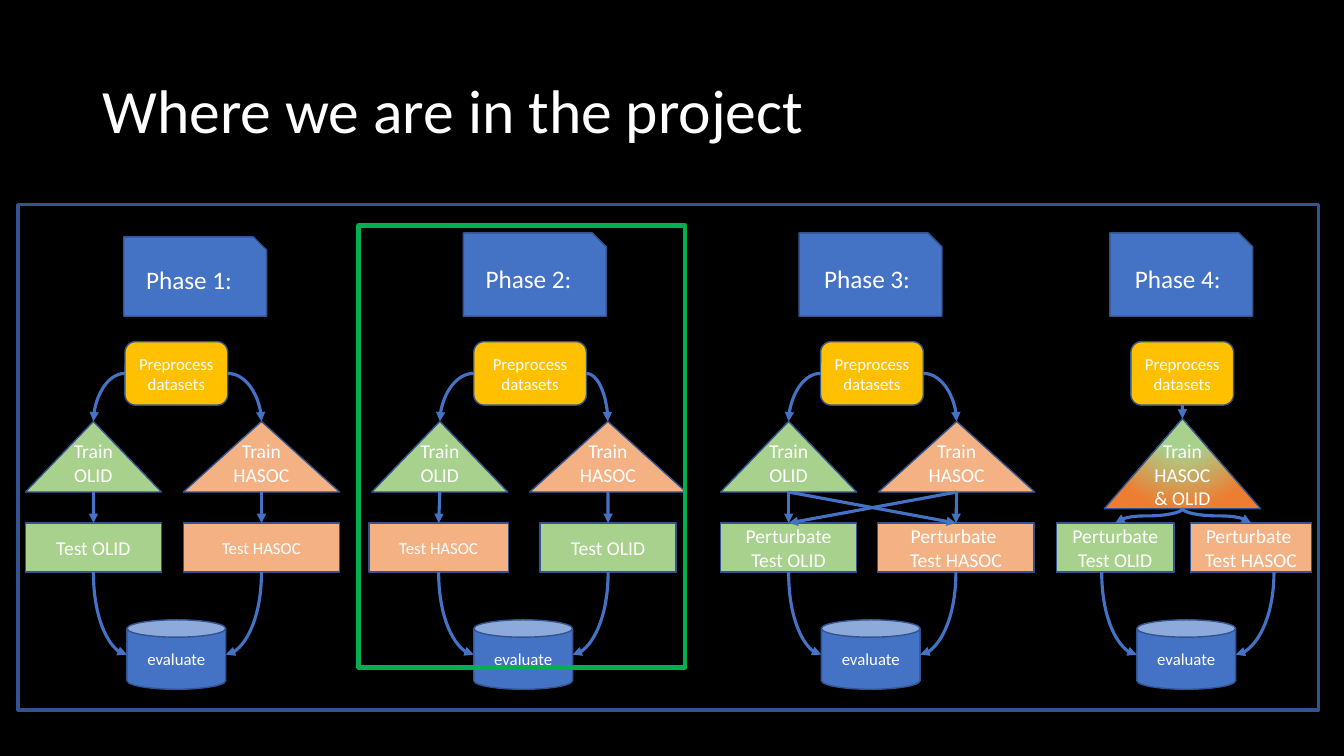
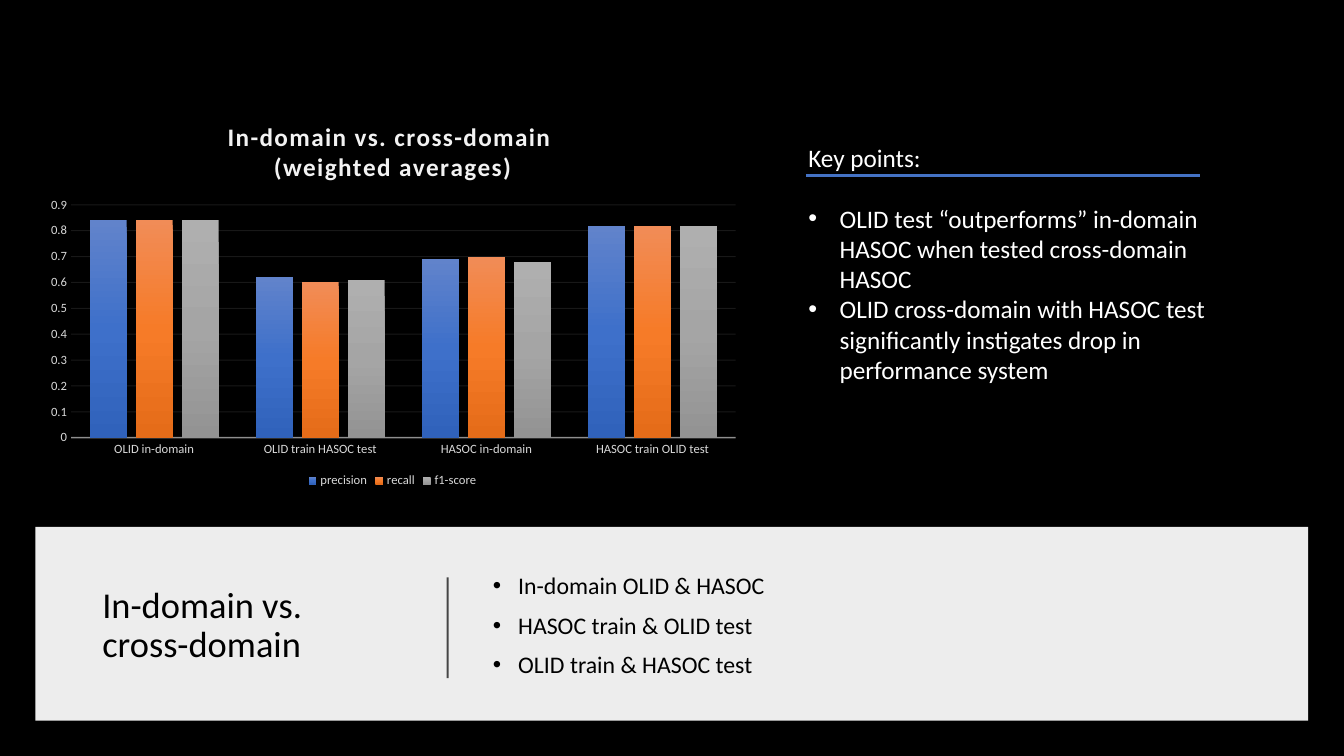
from lxml import etree
from pptx import Presentation
from pptx.chart.data import CategoryChartData
from pptx.dml.color import RGBColor
from pptx.enum.chart import XL_CHART_TYPE as ChartType, XL_LEGEND_POSITION as LegendPosition
from pptx.enum.chart import XL_TICK_MARK as TickMark
from pptx.enum.shapes import MSO_CONNECTOR as Connector, MSO_SHAPE as Shape
from pptx.enum.text import MSO_ANCHOR as Anchor, PP_ALIGN as Align
from pptx.oxml import parse_xml
from pptx.oxml.ns import nsdecls, qn
from pptx.util import Cm, Pt

FONT = "Calibri"
COLORS = {
    "black": "000000", "white": "FFFFFF", "blue": "4472C4", "outline": "325491",
    "green": "A9D18E", "peach": "F4B183", "amber": "FFC000", "orange": "ED7D31",
    "highlight": "00B050", "tick": "D9D9D9", "pale": "F2F2F2",
}
# Connection site numbers of each preset shape
BOX_SITES = {"top": 0, "left": 1, "bottom": 2, "right": 3}
SITES = {Shape.ISOSCELES_TRIANGLE: {"top": 0, "bottom": 3},
         Shape.CAN: {"left": 2, "right": 4}}

# Phases: lengths in cm; tests are (left, width, colour, size, lines)
PHASES = [
    dict(title="Phase 1: ", header=(3.12, 5.97), preprocess=(3.15, 2.59), can=3.2, train=0.64,
         tests=[(0.64, 3.43, "green", 14, ["Test OLID"]),
                (4.62, 3.94, "peach", 12, ["Test HASOC"])]),
    dict(title="Phase 2: ", header=(11.68, 5.87), preprocess=(11.94, 2.84), can=11.94, train=9.37,
         tests=[(9.3, 3.51, "peach", 12, ["Test HASOC"]),
                (13.61, 3.43, "green", 14, ["Test OLID"])]),
    dict(title="Phase 3:", header=(20.14, 5.87), preprocess=(20.68, 2.59), can=20.7, train=18.16,
         crossed=True,
         tests=[(18.16, 3.43, "green", 14, ["Perturbate Test OLID"]),
                (22.12, 3.94, "peach", 14, ["Perturbate ", "Test HASOC"])]),
    dict(title="Phase 4:", header=(27.97, 5.87), preprocess=(28.5, 2.59), can=28.65,
         shifts=(-0.34, 0.58),
         tests=[(26.62, 2.97, "green", 14, ["Perturbate Test OLID"]),
                (30, 3.05, "peach", 14, ["Perturbate ", "Test HASOC"])]),
]

SCORES = {
    "precision": ((0.84, 0.62, 0.69, 0.82), ("6183CB", "3E70CA", "3062BB")),
    "recall": ((0.84, 0.6, 0.7, 0.82), ("F18C57", "F67B28", "E56C19")),
    "f1-score": ((0.84, 0.61, 0.68, 0.82), ("AFAFAF", "A5A5A5", "939393")),
}


# Formatting helpers
def rgb(name):
    return RGBColor.from_string(COLORS[name])


def apply_format(target, **values):
    for name, value in values.items():
        setattr(target, name, value)


def format_font(font, size, color, **values):
    apply_format(font, name=FONT, size=Pt(size), **values)
    font.color.rgb = rgb(color)


def format_line(line, color, width):
    line.color.rgb = rgb(color)
    line.width = Pt(width)


def set_alpha(element, percent):
    for color in element.iter(qn("a:srgbClr")):
        etree.SubElement(color, qn("a:alpha")).set("val", str(percent * 1000))


def set_gradient(properties, stops, direction):
    """Replace the solid fill by a gradient of (percent, hex) stops."""
    marks = "".join(f'<a:gs pos="{position * 1000}"><a:srgbClr val="{color}"/></a:gs>'
                    for position, color in stops)
    gradient = parse_xml(f'<a:gradFill {nsdecls("a")} rotWithShape="1">'
                         f'<a:gsLst>{marks}</a:gsLst>{direction}</a:gradFill>')
    properties.replace(properties.find(qn("a:solidFill")), gradient)


def write_text(frame, lines, size, color, anchor=Anchor.MIDDLE, **paragraph_format):
    apply_format(frame, word_wrap=True, vertical_anchor=anchor)
    for index, line in enumerate(lines):
        paragraph = frame.add_paragraph() if index else frame.paragraphs[0]
        paragraph.text = line
        apply_format(paragraph, **paragraph_format)
        for run in paragraph.runs:
            format_font(run.font, size, color)


def add_bullets(paragraphs, indent):
    for paragraph in paragraphs:
        properties = paragraph._p.get_or_add_pPr()
        properties.set("marL", str(Cm(indent)))
        properties.set("indent", str(-Cm(indent)))
        etree.SubElement(properties, qn("a:buFont")).set("typeface", "Arial")
        etree.SubElement(properties, qn("a:buChar")).set("char", "•")


# Slide elements
def add_black_slide(presentation):
    slide = presentation.slides.add_slide(presentation.slide_layouts[6])
    fill = slide.background.fill
    fill.solid()
    fill.fore_color.rgb = rgb("black")
    return slide


def add_text(slide, place, lines, size, color, **options):
    frame = slide.shapes.add_textbox(*map(Cm, place)).text_frame
    write_text(frame, lines, size, color, **options)
    return frame


def add_title(slide, place, text, size, color):
    add_text(slide, place, [text], size, color, line_spacing=0.9)


def add_block(slide, kind, place, fill=None, line="outline", width=1, lines=(), size=12):
    shape = slide.shapes.add_shape(kind, *map(Cm, place))
    shape.shadow.inherit = False
    if fill:
        shape.fill.solid()
        shape.fill.fore_color.rgb = rgb(fill)
    else:
        shape.fill.background()
    if line:
        format_line(shape.line, line, width)
    else:
        shape.line.fill.background()
    write_text(shape.text_frame, lines, size, "white", alignment=Align.CENTER)
    return shape


def add_triangle(slide, place, color, text):
    triangle = add_block(slide, Shape.ISOSCELES_TRIANGLE, place, color, lines=[text], size=14)
    triangle.text_frame.margin_bottom = Cm(0.73)
    return triangle


def add_line(slide, start, end, kind=Connector.STRAIGHT, color="blue", width=2.25):
    line = slide.shapes.add_connector(kind, *start, *end)
    format_line(line.line, color, width)
    etree.SubElement(line.element.spPr, qn("a:effectLst"))
    return line


def side_point(shape, side):
    across = {"left": 0, "right": 1}.get(side, 0.5)
    down = {"top": 0, "bottom": 1}.get(side, 0.5)
    return int(shape.left + shape.width * across), int(shape.top + shape.height * down)


def add_link(slide, start, end, preset=None, arrow="tail", shift=0):
    """Join two (shape, side) ends; shift moves the second end sideways, unattached."""
    first = side_point(*start)
    x, y = side_point(*end)
    last = (x + Cm(shift), y)
    link = add_line(slide, first, last, Connector.CURVE if preset else Connector.STRAIGHT)
    properties = link.element.spPr
    etree.SubElement(properties.find(qn("a:ln")), qn(f"a:{arrow}End")).set("type", "triangle")
    if preset:
        properties.find(qn("a:prstGeom")).set("prst", preset)
    if preset == "curvedConnector3":
        turn_upright(link, first, last)
    ends = [("a:stCxn", start)] + ([] if shift else [("a:endCxn", end)])
    attachments = link.element.find(qn("p:nvCxnSpPr")).find(qn("p:cNvCxnSpPr"))
    for tag, (shape, side) in ends:
        attachment = etree.SubElement(attachments, qn(tag))
        attachment.set("id", str(shape.shape_id))
        attachment.set("idx", str(SITES.get(shape.auto_shape_type, BOX_SITES)[side]))


def turn_upright(link, first, last):
    """Make a curve leave and arrive vertically."""
    width, height = abs(last[1] - first[1]), abs(last[0] - first[0])
    apply_format(link, left=(first[0] + last[0] - width) // 2,
                 top=(first[1] + last[1] - height) // 2, width=width, height=height)
    transform = link.element.spPr.find(qn("a:xfrm"))
    transform.attrib.pop("flipH", None)
    rightward = last[0] > first[0]
    transform.set("rot", str((270 if rightward else 90) * 60000))
    if rightward:
        transform.set("flipH", "1")


def add_phase(slide, phase):
    left, top = phase["header"]
    add_block(slide, Shape.SNIP_1_RECTANGLE, (left, top, 3.6, 7.97 - top), "blue",
              lines=[phase["title"]], size=18)
    left, width = phase["preprocess"]
    preprocess = add_block(slide, Shape.ROUNDED_RECTANGLE, (left, 8.61, width, 1.6), "amber",
                           lines=["Preprocess datasets"])
    tests = [add_block(slide, Shape.RECTANGLE, (left, 13.18, width, 1.24), color,
                       lines=lines, size=size)
             for left, width, color, size, lines in phase["tests"]]
    can = add_block(slide, Shape.CAN, (phase["can"], 15.62, 2.49, 1.75), "blue",
                    lines=["evaluate"])

    # Training: two separate sets, or one mixed set
    if "train" in phase:
        left = phase["train"]
        trains = [add_triangle(slide, (left, 10.62, 3.43, 1.78), "green", "Train OLID"),
                  add_triangle(slide, (left + 3.98, 10.62, 3.94, 1.78), "peach", "Train HASOC")]
        for side, train, test in zip(("left", "right"), trains, tests):
            add_link(slide, (preprocess, side), (train, "top"), "curvedConnector2")
            add_link(slide, (train, "bottom"), (test, "top"))
        if phase.get("crossed"):
            for train, test in zip(trains, reversed(tests)):
                add_link(slide, (train, "bottom"), (test, "top"))
    else:
        mixed = add_triangle(slide, (27.83, 10.55, 3.94, 2.27), "green", "Train HASOC & OLID")
        set_gradient(mixed.element.spPr,
                     [(0, COLORS["green"]), (35, COLORS["green"]), (100, COLORS["orange"])],
                     '<a:path path="circle"><a:fillToRect l="50000" t="-80000" '
                     'r="50000" b="180000"/></a:path>')
        add_link(slide, (preprocess, "bottom"), (mixed, "top"))
        for test in tests:
            add_link(slide, (mixed, "bottom"), (test, "top"), "curvedConnector3")

    # Evaluation
    for side, test, shift in zip(("left", "right"), tests, phase.get("shifts", (0, 0))):
        add_link(slide, (can, side), (test, "bottom"), "curvedConnector2", "head", shift)


def add_score_chart(slide, place):
    data = CategoryChartData()
    data.categories = ["OLID in-domain", "OLID train HASOC test",
                       "HASOC in-domain", "HASOC train OLID test"]
    for name, (values, _) in SCORES.items():
        data.add_series(name, values)
    chart = slide.shapes.add_chart(ChartType.COLUMN_CLUSTERED, *map(Cm, place), data).chart
    format_font(chart.font, 10, "white")
    chart.element.find(qn("c:txPr")).addprevious(parse_xml(
        f'<c:spPr {nsdecls("c", "a")}><a:solidFill><a:srgbClr val="{COLORS["black"]}"/>'
        '</a:solidFill><a:ln><a:noFill/></a:ln></c:spPr>'))

    # Title and legend
    write_text(chart.chart_title.text_frame,
               ["In-domain vs. cross-domain ", "(weighted averages)"], 18, "pale")
    for paragraph in chart.chart_title.text_frame.paragraphs:
        for run in paragraph.runs:
            run.font.bold = True
            run.font._element.set("spc", "100")
    chart.chart_title.include_in_layout = False
    chart.has_legend = True
    apply_format(chart.legend, position=LegendPosition.BOTTOM, include_in_layout=False)
    format_font(chart.legend.font, 9, "tick")

    # Axes
    categories, values = chart.category_axis, chart.value_axis
    for axis in (categories, values):
        apply_format(axis, major_tick_mark=TickMark.NONE, minor_tick_mark=TickMark.NONE)
        format_font(axis.tick_labels.font, 9, "tick")
    apply_format(values, minimum_scale=0, maximum_scale=0.9, major_unit=0.1)
    values.format.line.fill.background()
    format_line(categories.format.line, "pale", 1)
    set_alpha(categories._element.find(qn("c:spPr")), 54)
    format_line(values.major_gridlines.format.line, "pale", 0.75)
    set_alpha(values._element.find(qn("c:majorGridlines")), 10)

    # Columns and plot area
    plot = chart.plots[0]
    apply_format(plot, gap_width=100, overlap=-24, vary_by_categories=False)
    for series, (_, shades) in zip(plot.series, SCORES.values()):
        series.format.fill.solid()
        series.format.fill.fore_color.rgb = RGBColor.from_string(shades[0])
        set_gradient(series._element.find(qn("c:spPr")), list(zip((0, 50, 100), shades)),
                     '<a:lin ang="5400000" scaled="0"/>')
    area = chart.element.find(qn("c:chart")).find(qn("c:plotArea"))
    for layout in area.findall(qn("c:layout")):
        area.remove(layout)
    sizes = "".join(f'<c:{tag} val="{value}"/>' for tag, value in (
        ("layoutTarget", "inner"), ("xMode", "edge"), ("yMode", "edge"),
        ("x", 0.05), ("y", 0.26), ("w", 0.93), ("h", 0.6)))
    area.insert(0, parse_xml(f'<c:layout {nsdecls("c")}><c:manualLayout>{sizes}'
                             '</c:manualLayout></c:layout>'))


# Slides
def build_project_slide(presentation):
    slide = add_black_slide(presentation)
    add_title(slide, (2.33, 1.02, 29.21, 3.68), "Where we are in the project", 44, "white")
    add_block(slide, Shape.RECTANGLE, (0.46, 5.16, 32.77, 12.73), width=2.5)
    for phase in PHASES:
        add_phase(slide, phase)
    add_block(slide, Shape.RECTANGLE, (9.04, 5.69, 8.23, 11.13), line="highlight", width=3.25)


def build_results_slide(presentation):
    slide = add_black_slide(presentation)
    band = add_block(slide, Shape.RECTANGLE, (0.89, 13.28, 32.08, 4.88), "white", line=None)
    set_alpha(band.element.spPr, 93)
    add_title(slide, (2.33, 13.92, 8.03, 3.73), "In-domain vs. \vcross-domain", 26, "black")
    divider = add_line(slide, (Cm(11.28), Cm(17.09)), (Cm(11.28), Cm(14.55)),
                       color="black", width=1.5)
    set_alpha(divider.element.spPr, 70)
    setups = add_text(slide, (12.17, 13.92, 19.38, 3.73),
                      ["In-domain OLID & HASOC", "HASOC train & OLID test",
                       "OLID train & HASOC test"],
                      17, "black", line_spacing=0.9, space_before=Pt(10))
    add_bullets(setups.paragraphs, 0.64)
    add_score_chart(slide, (0.89, 2.62, 18.01, 9.78))
    points = add_text(slide, (20.12, 3.45, 11.99, 8.71),
                      ["Key points:",
                       "OLID test “outperforms” in-domain HASOC when tested cross-domain HASOC",
                       "OLID cross-domain with HASOC test significantly instigates drop in "
                       "performance system"],
                      18, "white", anchor=Anchor.TOP)
    points.paragraphs[1].space_before = Pt(22)
    add_bullets(points.paragraphs[1:], 0.79)
    add_line(slide, (Cm(20.32), Cm(4.42)), (Cm(30.25), Cm(4.42)))


def main():
    presentation = Presentation()
    apply_format(presentation, slide_width=Cm(33.87), slide_height=Cm(19.05))
    build_project_slide(presentation)
    build_results_slide(presentation)
    presentation.save("out.pptx")


if __name__ == "__main__":
    main()
